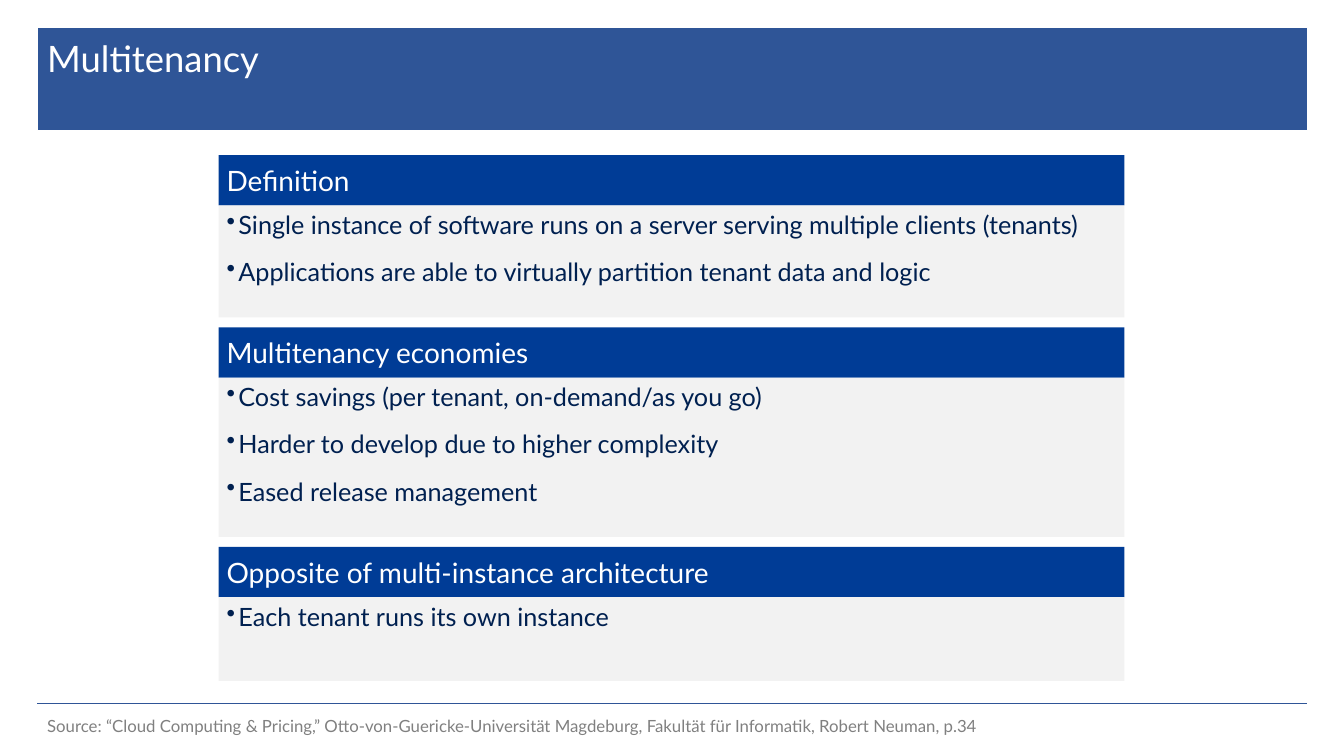
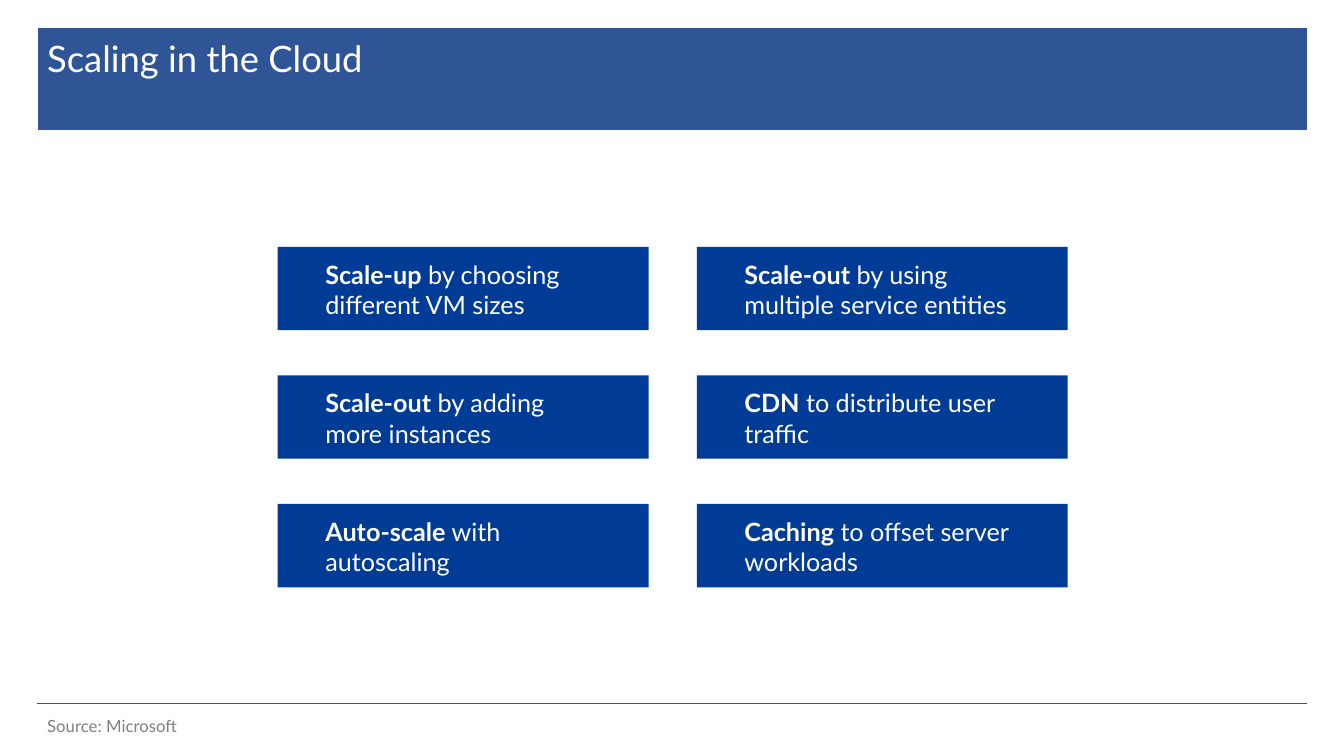
"""Build two slides on multitenancy and scaling in the cloud."""
from dataclasses import dataclass

from lxml import etree
from pptx import Presentation
from pptx.dml.color import RGBColor
from pptx.enum.shapes import MSO_CONNECTOR, MSO_SHAPE
from pptx.enum.text import MSO_ANCHOR, PP_ALIGN
from pptx.oxml.ns import qn
from pptx.util import Cm, Pt

RECTANGLE = MSO_SHAPE.RECTANGLE
STRAIGHT = MSO_CONNECTOR.STRAIGHT
TOP, MIDDLE = MSO_ANCHOR.TOP, MSO_ANCHOR.MIDDLE
LEFT = PP_ALIGN.LEFT


@dataclass(frozen=True)
class Theme:
    font: str = "Lato"
    band: RGBColor = RGBColor(0x2F, 0x55, 0x97)
    accent: RGBColor = RGBColor(0x00, 0x3C, 0x96)
    panel: RGBColor = RGBColor(0xF2, 0xF2, 0xF2)
    ink: RGBColor = RGBColor(0x00, 0x20, 0x50)
    muted: RGBColor = RGBColor(0x80, 0x80, 0x80)
    white: RGBColor = RGBColor(0xFF, 0xFF, 0xFF)
    title_size: Pt = Pt(26)
    heading_size: Pt = Pt(20)
    body_size: Pt = Pt(18)
    source_size: Pt = Pt(12)


THEME = Theme()


def add_rectangle(slide, left, top, width, height, fill):
    shape = slide.shapes.add_shape(RECTANGLE, Cm(left), Cm(top), Cm(width), Cm(height))
    shape.shadow.inherit = False
    shape.fill.solid()
    shape.fill.fore_color.rgb = fill
    shape.line.fill.background()
    return shape


def write_text(shape, paragraphs, *, size, color, anchor=TOP,
               insets=(0.25, 0.13, 0.25, 0.13), bullet=False):
    frame = shape.text_frame
    frame.word_wrap = True
    frame.vertical_anchor = anchor
    frame.margin_left, frame.margin_top, frame.margin_right, frame.margin_bottom = map(Cm, insets)
    for index, runs in enumerate(paragraphs):
        paragraph = frame.add_paragraph() if index else frame.paragraphs[0]
        paragraph.alignment = LEFT
        if bullet:
            paragraph.space_before = Pt(6 if index else 0)
            paragraph.space_after = Pt(6)
            properties = paragraph._p.get_or_add_pPr()
            properties.set("marL", str(Cm(0.3)))
            properties.set("indent", str(Cm(-0.3)))
            etree.SubElement(properties, qn("a:buChar"), char="•")
        for text, bold in runs:
            run = paragraph.add_run()
            run.text = text
            run.font.name = THEME.font
            run.font.size = size
            run.font.bold = bold
            run.font.color.rgb = color


presentation = Presentation()
presentation.slide_width = Cm(33.87)
presentation.slide_height = Cm(19.05)

MARGIN, CONTENT_WIDTH, RULE_TOP = 0.94, 32, 17.73
PAGES = [
    ("Multitenancy",
     "Source: “Cloud Computing & Pricing,” Otto-von-Guericke-Universität Magdeburg, "
     "Fakultät für Informatik, Robert Neuman, p.34"),
    ("Scaling in the Cloud", "Source: Microsoft"),
]
slides = []
for title, source in PAGES:
    slide = presentation.slides.add_slide(presentation.slide_layouts[6])
    slides.append(slide)
    band = add_rectangle(slide, MARGIN, 0.69, CONTENT_WIDTH, 2.59, THEME.band)
    band.line.color.rgb = THEME.white
    band.line.width = Pt(0.25)
    rule = slide.shapes.add_connector(
        STRAIGHT, Cm(MARGIN), Cm(RULE_TOP), Cm(MARGIN + CONTENT_WIDTH), Cm(RULE_TOP))
    rule.line.color.rgb = THEME.band
    rule.line.width = Pt(0.5)
    etree.SubElement(rule._element.spPr, qn("a:effectLst"))
    title_box = slide.shapes.add_textbox(Cm(MARGIN), Cm(0.79), Cm(28.1), Cm(2.41))
    write_text(title_box, [[(title, False)]], size=THEME.title_size, color=THEME.white)
    source_box = slide.shapes.add_textbox(Cm(MARGIN), Cm(17.7), Cm(28.5), Cm(1.19))
    write_text(source_box, [[(source, False)]], size=THEME.source_size,
               color=THEME.muted, anchor=MIDDLE)

multitenancy, scaling = slides

PANEL_LEFT, PANEL_WIDTH, HEADING_HEIGHT, PANEL_GAP = 5.51, 22.83, 1.27, 0.25
PANEL_INSETS = (0.2, 0.1, 0.2, 0.1)
PANELS = [
    ("Definition", 2.82, [
        "Single instance of software runs on a server serving multiple clients (tenants)",
        "Applications are able to virtually partition tenant data and logic"]),
    ("Multitenancy economies", 4.01, [
        "Cost savings (per tenant, on-demand/as you go)",
        "Harder to develop due to higher complexity",
        "Eased release management"]),
    ("Opposite of multi-instance architecture", 2.11, [
        "Each tenant runs its own instance"]),
]
panel_top = 3.91
for heading, body_height, points in PANELS:
    heading_bar = add_rectangle(
        multitenancy, PANEL_LEFT, panel_top, PANEL_WIDTH, HEADING_HEIGHT, THEME.accent)
    write_text(heading_bar, [[(heading, False)]], size=THEME.heading_size,
               color=THEME.white, anchor=MIDDLE, insets=PANEL_INSETS)
    body = add_rectangle(multitenancy, PANEL_LEFT, panel_top + HEADING_HEIGHT,
                         PANEL_WIDTH, body_height, THEME.panel)
    write_text(body, [[(point, False)] for point in points], size=THEME.body_size,
               color=THEME.ink, insets=PANEL_INSETS, bullet=True)
    panel_top += HEADING_HEIGHT + body_height + PANEL_GAP

CARD_LEFT, CARD_TOP, COLUMN_STEP, ROW_STEP = 7.0, 6.22, 10.56, 3.24
CARD_ROWS = [
    [("Scale-up", " by choosing different VM sizes"),
     ("Scale-out", " by using multiple service entities")],
    [("Scale-out", " by adding more instances"),
     ("CDN", " to distribute user traffic")],
    [("Auto-scale", " with autoscaling"),
     ("Caching", " to offset server workloads")],
]
for row, cards in enumerate(CARD_ROWS):
    for column, (term, detail) in enumerate(cards):
        card = add_rectangle(scaling, CARD_LEFT + column * COLUMN_STEP,
                             CARD_TOP + row * ROW_STEP, 9.35, 2.1, THEME.accent)
        write_text(card, [[(term, True), (detail, False)]], size=THEME.body_size,
                   color=THEME.white, insets=(1.2, 0.31, 1.2, 0))

presentation.save("out.pptx")
